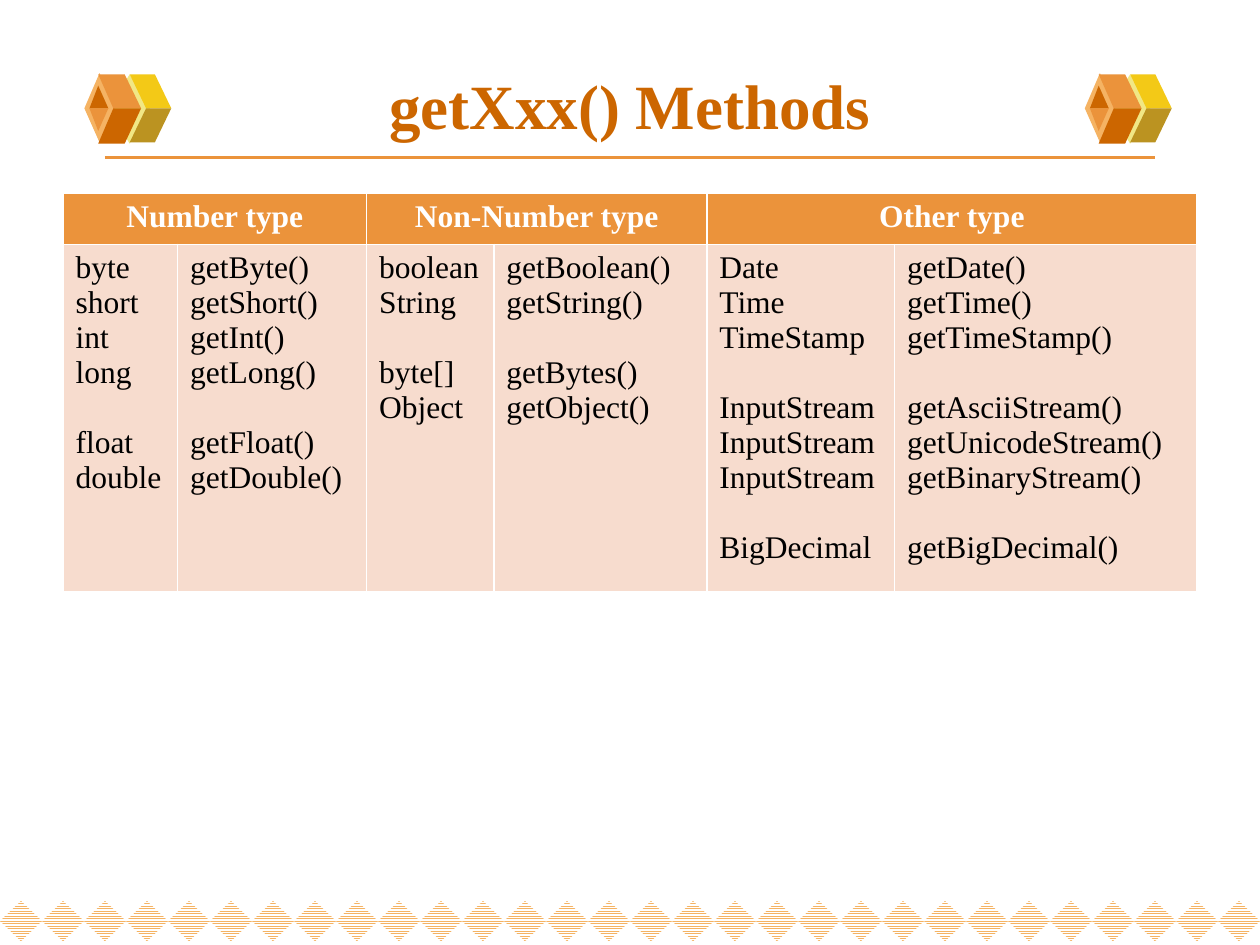
"""Builds a slide that lists the getXxx() methods by data type."""
from lxml.etree import SubElement
from pptx import Presentation
from pptx.dml.color import RGBColor
from pptx.enum.dml import MSO_PATTERN
from pptx.enum.shapes import MSO_CONNECTOR, MSO_SHAPE
from pptx.enum.text import MSO_ANCHOR, PP_ALIGN
from pptx.oxml.ns import qn
from pptx.util import Inches, Pt

FONT = "Times New Roman"
ORANGE, RUST, PEACH, CREAM = "EB933B", "CC6600", "F5B363", "F1E785"
YELLOW, OLIVE, PINK, WHITE, BLACK = "F3C917", "BB9321", "F7DCCE", "FFFFFF", "000000"


def color(value):
    return RGBColor.from_string(value)


def style(paragraph, size, value, bold):
    paragraph.font.name = FONT
    paragraph.font.size = Pt(size)
    paragraph.font.bold = bold
    paragraph.font.color.rgb = color(value)


deck = Presentation()
deck.slide_width, deck.slide_height = Inches(10), Inches(7.5)
slide = deck.slides.add_slide(deck.slide_layouts[6])
shapes = slide.shapes
unit = deck.slide_width // 1000

diamond_count = 30
step = deck.slide_width / diamond_count
for column in range(diamond_count):
    diamond = shapes.add_shape(
        MSO_SHAPE.DIAMOND, int(column * step), 715 * unit, int(step), 32 * unit)
    diamond.shadow.inherit = False
    diamond.line.fill.background()
    diamond.fill.patterned()
    diamond.fill.pattern = MSO_PATTERN.NARROW_HORIZONTAL
    diamond.fill.fore_color.rgb = color(PEACH)
    diamond.fill.back_color.rgb = color(WHITE)

rule = shapes.add_connector(
    MSO_CONNECTOR.STRAIGHT, deck.slide_width // 12, 125 * unit,
    deck.slide_width * 11 // 12, 125 * unit)
rule.line.color.rgb = color(ORANGE)
rule.line.width = Pt(2.25)
SubElement(rule._element.spPr, qn("a:effectLst"))

cube_faces = [
    (CREAM, [(36, 59), (52, 86), (36, 114), (19, 86)]),
    (YELLOW, [(49, 86), (69, 86), (56, 59), (36, 59)]),
    (OLIVE, [(49, 86), (69, 86), (56, 113), (36, 113)]),
    (PEACH, [(12, 58), (24, 86), (12, 113), (0, 86)]),
    (ORANGE, [(23, 86), (45, 86), (32, 59), (11, 59)]),
    (RUST, [(23, 86), (45, 86), (32, 114), (11, 114)]),
    (RUST, [(11, 68), (4, 86), (19, 86)]),
    (ORANGE, [(11, 104), (4, 86), (19, 86)]),
]
for cube_left in (67, 861):
    for face_color, corners in cube_faces:
        points = [(cube_left + x, y) for x, y in corners]
        builder = shapes.build_freeform(*points[0], scale=unit)
        builder.add_line_segments(points[1:], close=True)
        face = builder.convert_to_shape()
        face.shadow.inherit = False
        face.line.fill.background()
        face.fill.solid()
        face.fill.fore_color.rgb = color(face_color)

title = shapes.add_textbox(50 * unit, 40 * unit, 900 * unit, 85 * unit).text_frame
title.word_wrap = True
title.vertical_anchor = MSO_ANCHOR.MIDDLE
title.text = "getXxx() Methods"
title.paragraphs[0].alignment = PP_ALIGN.CENTER
style(title.paragraphs[0], 36, RUST, True)

headings = ["Number type", "Non-Number type", "Other type"]
column_groups = [
    [["byte", "short", "int", "long"], ["float", "double"]],
    [["getByte()", "getShort()", "getInt()", "getLong()"], ["getFloat()", "getDouble()"]],
    [["boolean", "String"], ["byte[]", "Object"]],
    [["getBoolean()", "getString()"], ["getBytes()", "getObject()"]],
    [["Date", "Time", "TimeStamp"], ["InputStream"] * 3, ["BigDecimal"]],
    [["getDate()", "getTime()", "getTimeStamp()"],
     ["getAsciiStream()", "getUnicodeStream()", "getBinaryStream()"],
     ["getBigDecimal()"]],
]
methods = shapes.add_table(2, 6, 50 * unit, 153 * unit, 900 * unit, 300 * unit).table
for column, width in zip(methods.columns, (91, 150, 101, 169, 149, 240)):
    column.width = width * unit
for row, height in zip(methods.rows, (41, 259)):
    row.height = height * unit

for index, heading in enumerate(headings):
    cell = methods.cell(0, 2 * index)
    cell.merge(methods.cell(0, 2 * index + 1))
    cell.fill.solid()
    cell.fill.fore_color.rgb = color(ORANGE)
    cell.text = heading
    cell.text_frame.paragraphs[0].alignment = PP_ALIGN.CENTER
    style(cell.text_frame.paragraphs[0], 18, WHITE, True)

for index, groups in enumerate(column_groups):
    cell = methods.cell(1, index)
    cell.fill.solid()
    cell.fill.fore_color.rgb = color(PINK)
    cell.text = "\n".join(name for group in groups for name in group)
    paragraphs = cell.text_frame.paragraphs
    for paragraph in paragraphs:
        style(paragraph, 18, BLACK, False)
    group_start = 0
    for group in groups[:-1]:
        group_start += len(group)
        paragraphs[group_start].space_before = Pt(20)

deck.save("out.pptx")
